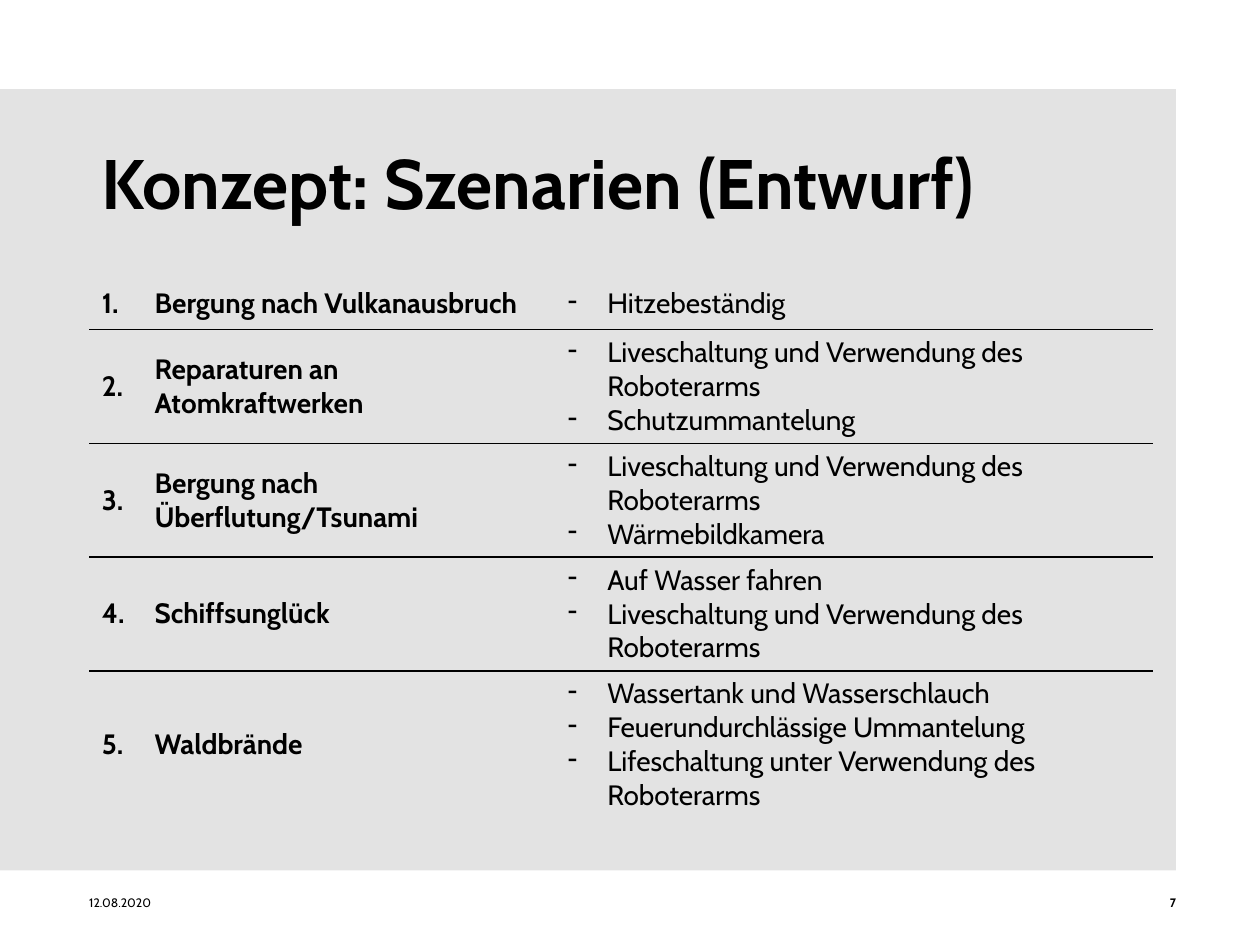
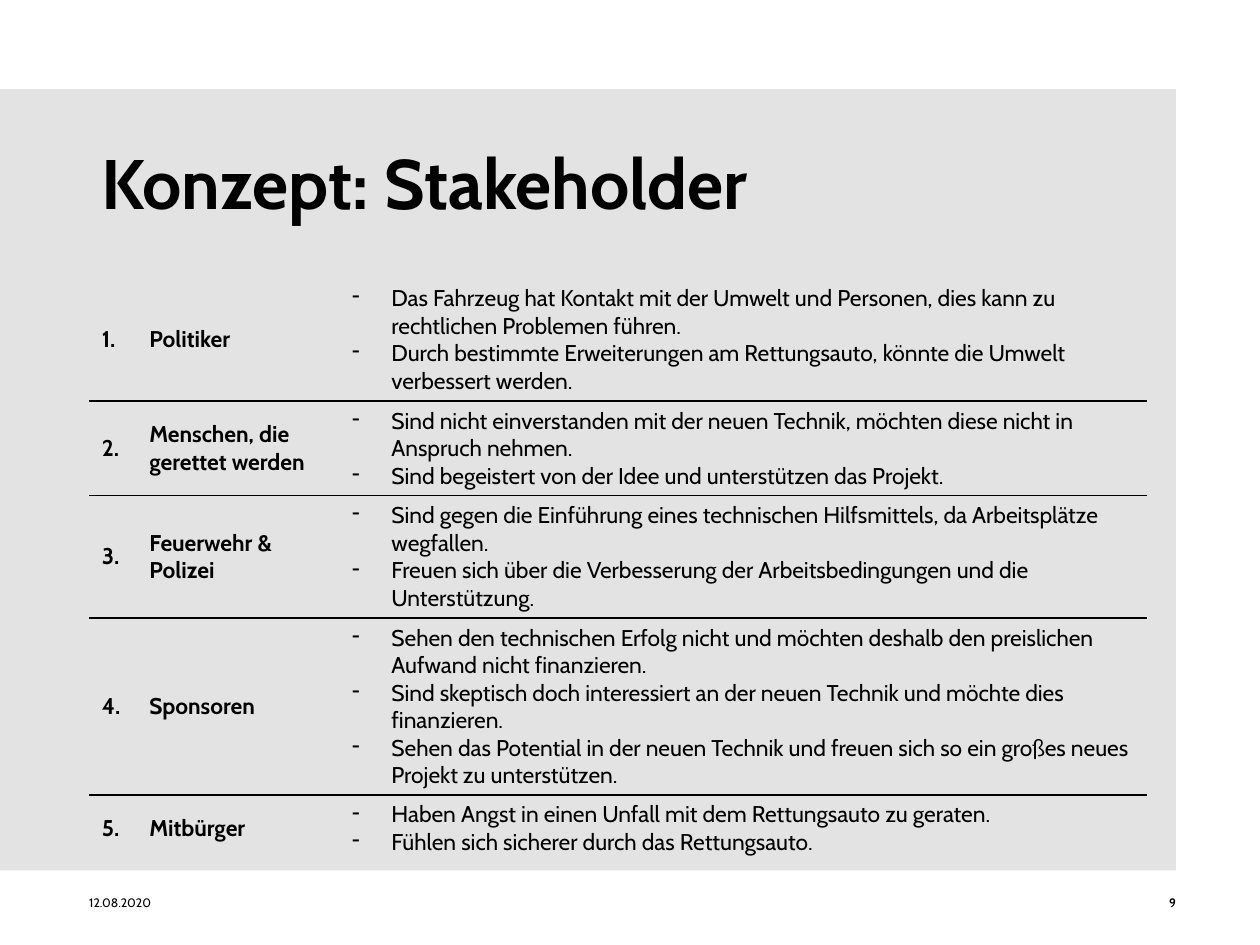
from lxml.etree import SubElement
from pptx import Presentation
from pptx.dml.color import RGBColor
from pptx.enum.shapes import MSO_SHAPE
from pptx.enum.text import MSO_ANCHOR, PP_ALIGN
from pptx.oxml.ns import qn
from pptx.util import Pt

FONT = "Cabin"
BLACK = "000000"
PANEL_GREY = "E3E3E3"
PLAIN_TABLE_STYLE = "{2D5ABB26-0587-4C30-8999-92F81FD0307C}"
MARGIN = 51
PANEL_RIGHT = 672
BULLET_INDENT = Pt(22.5)


def style_paragraph(para, text, size, bold=False):
    para.text = text
    para.font.name = FONT
    para.font.size = Pt(size)
    para.font.bold = bold
    para.font.color.rgb = RGBColor.from_string(BLACK)


def add_text(page, text, place, size, bold=False, inset=0, align=PP_ALIGN.LEFT):
    box = page.shapes.add_textbox(*map(Pt, place))
    frame = box.text_frame
    frame.word_wrap = True
    frame.vertical_anchor = MSO_ANCHOR.MIDDLE
    frame.margin_left = frame.margin_right = Pt(inset)
    frame.margin_top = frame.margin_bottom = Pt(inset / 2)
    style_paragraph(frame.paragraphs[0], text, size, bold)
    frame.paragraphs[0].alignment = align


ROBOT_ARM = "Liveschaltung und Verwendung des Roboterarms"

slides = [
    {
        "title": "Konzept: Szenarien (Entwurf)",
        "number": "7",
        "size": 16,
        "columns": [30.2, 236.2, 341.3],
        "heights": [29.2, 65, 65, 65, 83],
        "rows": [
            ("Bergung nach Vulkanausbruch", ["Hitzebeständig"]),
            ("Reparaturen an Atomkraftwerken", [ROBOT_ARM, "Schutzummantelung"]),
            ("Bergung nach Überflutung/Tsunami", [ROBOT_ARM, "Wärmebildkamera"]),
            ("Schiffsunglück", ["Auf Wasser fahren", ROBOT_ARM]),
            ("Waldbrände", [
                "Wassertank und Wasserschlauch",
                "Feuerundurchlässige Ummantelung",
                "Lifeschaltung unter Verwendung des Roboterarms",
            ]),
        ],
    },
    {
        "title": "Konzept: Stakeholder",
        "number": "9",
        "size": 13,
        "columns": [27.2, 115.8, 461.5],
        "heights": [70, 54, 70, 101, 38],
        "rows": [
            ("Politiker", [
                "Das Fahrzeug hat Kontakt mit der Umwelt und Personen, dies kann zu "
                "rechtlichen Problemen führen.",
                "Durch bestimmte Erweiterungen am Rettungsauto, könnte die Umwelt "
                "verbessert werden.",
            ]),
            ("Menschen, die gerettet werden", [
                "Sind nicht einverstanden mit der neuen Technik, möchten diese nicht in "
                "Anspruch nehmen.",
                "Sind begeistert von der Idee und unterstützen das Projekt.",
            ]),
            ("Feuerwehr & Polizei", [
                "Sind gegen die Einführung eines technischen Hilfsmittels, da Arbeitsplätze "
                "wegfallen.",
                "Freuen sich über die Verbesserung der Arbeitsbedingungen und die "
                "Unterstützung.",
            ]),
            ("Sponsoren", [
                "Sehen den technischen Erfolg nicht und möchten deshalb den preislichen "
                "Aufwand nicht finanzieren.",
                "Sind skeptisch doch interessiert an der neuen Technik und möchte dies "
                "finanzieren.",
                "Sehen das Potential in der neuen Technik und freuen sich so ein großes "
                "neues Projekt zu unterstützen.",
            ]),
            ("Mitbürger", [
                "Haben Angst in einen Unfall mit dem Rettungsauto zu geraten.",
                "Fühlen sich sicherer durch das Rettungsauto.",
            ]),
        ],
    },
]

deck = Presentation()
deck.slide_width, deck.slide_height = Pt(720), Pt(540)

for content in slides:
    page = deck.slides.add_slide(deck.slide_layouts[6])

    panel = page.shapes.add_shape(
        MSO_SHAPE.RECTANGLE, Pt(0), Pt(MARGIN), Pt(PANEL_RIGHT), Pt(446.4))
    panel.shadow.inherit = False
    panel.fill.solid()
    panel.fill.fore_color.rgb = RGBColor.from_string(PANEL_GREY)
    panel.line.fill.background()

    add_text(page, content["title"], (MARGIN, 59, 604, 90), 40, bold=True, inset=7.2)

    columns, heights = content["columns"], content["heights"]
    holder = page.shapes.add_table(
        len(heights), len(columns), Pt(MARGIN), Pt(159.1),
        Pt(sum(columns)), Pt(sum(heights)))
    table = holder.table
    table.first_row = table.horz_banding = False
    table._tbl.tblPr.find(qn("a:tableStyleId")).text = PLAIN_TABLE_STYLE
    for column, width in zip(table.columns, columns):
        column.width = Pt(width)
    for row, height in zip(table.rows, heights):
        row.height = Pt(height)

    for index, (heading, points) in enumerate(content["rows"]):
        cells = table.rows[index].cells
        for cell, text in zip(cells, (f"{index + 1}.", heading)):
            style_paragraph(cell.text_frame.paragraphs[0], text, content["size"], bold=True)

        frame = cells[2].text_frame
        for position, point in enumerate(points):
            para = frame.add_paragraph() if position else frame.paragraphs[0]
            style_paragraph(para, point, content["size"])
            properties = para._p.get_or_add_pPr()
            properties.set("marL", str(BULLET_INDENT))
            properties.set("indent", str(-BULLET_INDENT))
            bullet = properties.makeelement(qn("a:buChar"), {"char": "-"})
            properties.find(qn("a:defRPr")).addprevious(bullet)

        for cell in cells:
            cell.vertical_anchor = MSO_ANCHOR.MIDDLE
            if index < len(heights) - 1:
                border = SubElement(cell._tc.get_or_add_tcPr(), qn("a:lnB"), w=str(Pt(1)))
                line_fill = SubElement(border, qn("a:solidFill"))
                SubElement(line_fill, qn("a:srgbClr"), val=BLACK)
            cell.fill.background()

    add_text(page, "12.08.2020", (MARGIN, 511.2, 168, 8.6), 7)
    add_text(page, content["number"], (PANEL_RIGHT - 168, 511.2, 168, 8.6), 7,
             bold=True, align=PP_ALIGN.RIGHT)

deck.save("out.pptx")
